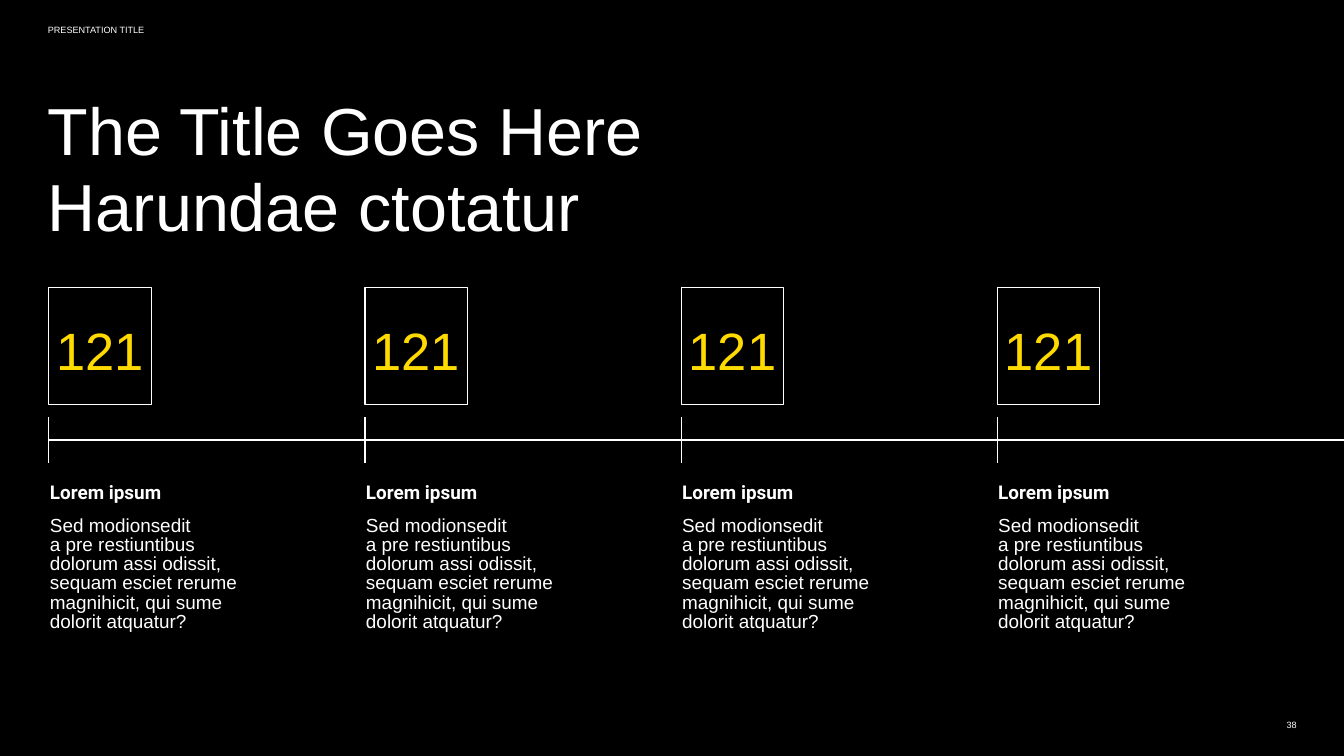
from lxml.etree import SubElement
from pptx import Presentation
from pptx.dml.color import RGBColor
from pptx.enum.shapes import MSO_CONNECTOR, MSO_SHAPE
from pptx.enum.text import MSO_ANCHOR as ANCHOR, MSO_AUTO_SIZE, PP_ALIGN as ALIGN
from pptx.oxml.ns import qn
from pptx.util import Inches, Pt

BLACK = RGBColor(0x00, 0x00, 0x00)
WHITE = RGBColor(0xFF, 0xFF, 0xFF)
YELLOW = RGBColor(0xFF, 0xDA, 0x00)

SLIDE_WIDTH, SLIDE_HEIGHT = 26.66, 15
TIMELINE_LEFT, TIMELINE_TOP, MILESTONE_PITCH = 0.97, 5.71, 6.27
DESCRIPTION = ("Sed modionsedit\va pre restiuntibus\vdolorum assi odissit,\v"
               "sequam esciet rerume magnihicit, qui sume dolorit atquatur?")
MILESTONES = [("121", "Lorem ipsum", DESCRIPTION)] * 4


def fill_text(shape, text, size, color=WHITE, font="Arial", bold=False,
              align=ALIGN.LEFT, anchor=ANCHOR.TOP, spacing=1.0, inset_top=0):
    """Write one formatted paragraph into a shape."""
    frame = shape.text_frame
    frame.word_wrap = True
    frame.auto_size = MSO_AUTO_SIZE.NONE
    frame.vertical_anchor = anchor
    frame.margin_left = frame.margin_right = frame.margin_bottom = 0
    frame.margin_top = Inches(inset_top)
    paragraph = frame.paragraphs[0]
    paragraph.text = text
    paragraph.alignment = align
    paragraph.line_spacing = spacing
    paragraph.font.name = font
    paragraph.font.size = Pt(size)
    paragraph.font.bold = bold
    paragraph.font.color.rgb = color


def add_label(slide, box, text, size, **style):
    """Add a text box at (left, top, width, height)."""
    label = slide.shapes.add_textbox(*map(Inches, box))
    fill_text(label, text, size, **style)


def add_rule(slide, start, end):
    """Draw a thin white line without shadow."""
    rule = slide.shapes.add_connector(
        MSO_CONNECTOR.STRAIGHT, *map(Inches, (*start, *end)))
    rule.line.color.rgb = WHITE
    rule.line.width = Pt(1.5)
    SubElement(rule._element.spPr, qn("a:effectLst"))


def add_title(slide, box, text):
    """Place and format the title placeholder."""
    title = slide.shapes.title
    title.left, title.top, title.width, title.height = map(Inches, box)
    fill_text(title, text, 95, spacing=0.95)


def add_milestone(slide, left, top, number, heading, description):
    """Add a framed number, its tick and the text below."""
    add_rule(slide, (left, top + 2.56), (left, top + 3.47))
    frame = slide.shapes.add_shape(
        MSO_SHAPE.RECTANGLE, *map(Inches, (left, top, 2.04, 2.31)))
    frame.shadow.inherit = False
    frame.fill.solid()
    frame.fill.fore_color.rgb = BLACK
    frame.line.color.rgb = WHITE
    frame.line.width = Pt(1.5)
    fill_text(frame, number, 75, color=YELLOW, align=ALIGN.CENTER,
              spacing=1.08, inset_top=0.5)
    add_label(slide, (left + 0.02, top + 3.79, 4.05, 0.54), heading, 27,
              font="Roboto", bold=True, spacing=1.08)
    add_label(slide, (left + 0.02, top + 4.54, 4.05, 2.37), description, 27,
              spacing=0.85)


def add_timeline(slide, left, top, right):
    """Draw the axis and its evenly spaced milestones."""
    add_rule(slide, (left, top + 3.02), (right, top + 3.02))
    for index, milestone in enumerate(MILESTONES):
        add_milestone(slide, left + index * MILESTONE_PITCH, top, *milestone)


def main():
    """Build and save the slide."""
    presentation = Presentation()
    presentation.slide_width = Inches(SLIDE_WIDTH)
    presentation.slide_height = Inches(SLIDE_HEIGHT)
    slide = presentation.slides.add_slide(presentation.slide_layouts[5])
    slide.background.fill.solid()
    slide.background.fill.fore_color.rgb = BLACK
    add_label(slide, (0.95, 0.49, 9, 0.47), "PRESENTATION TITLE", 13)
    add_title(slide, (0.95, 1.89, 19.69, 3.82),
              "The Title Goes Here\vHarundae ctotatur")
    add_timeline(slide, TIMELINE_LEFT, TIMELINE_TOP, SLIDE_WIDTH)
    add_label(slide, (24.59, 14.18, 1.13, 0.42), "38", 13,
              align=ALIGN.RIGHT, anchor=ANCHOR.MIDDLE)
    presentation.save("out.pptx")


if __name__ == "__main__":
    main()
